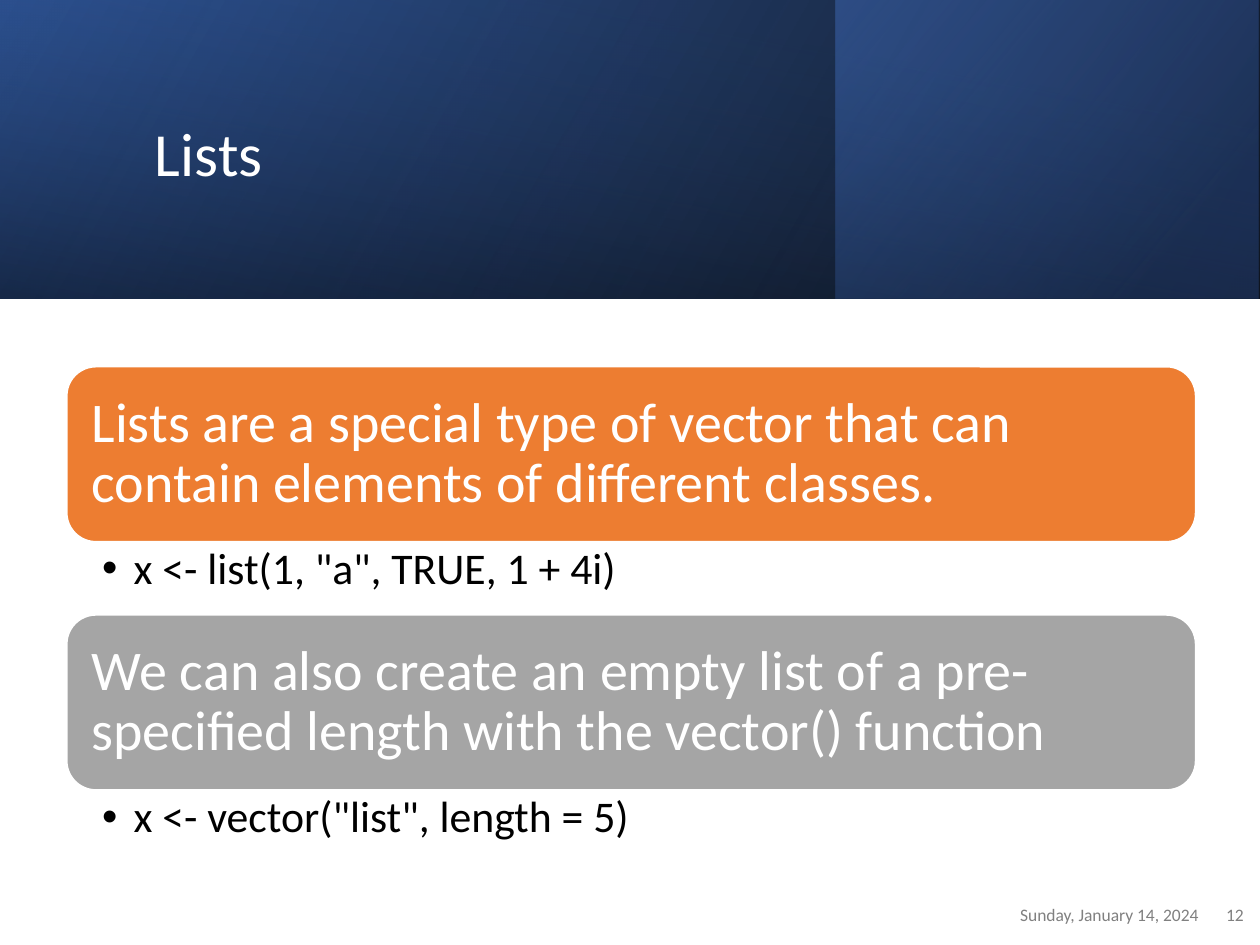
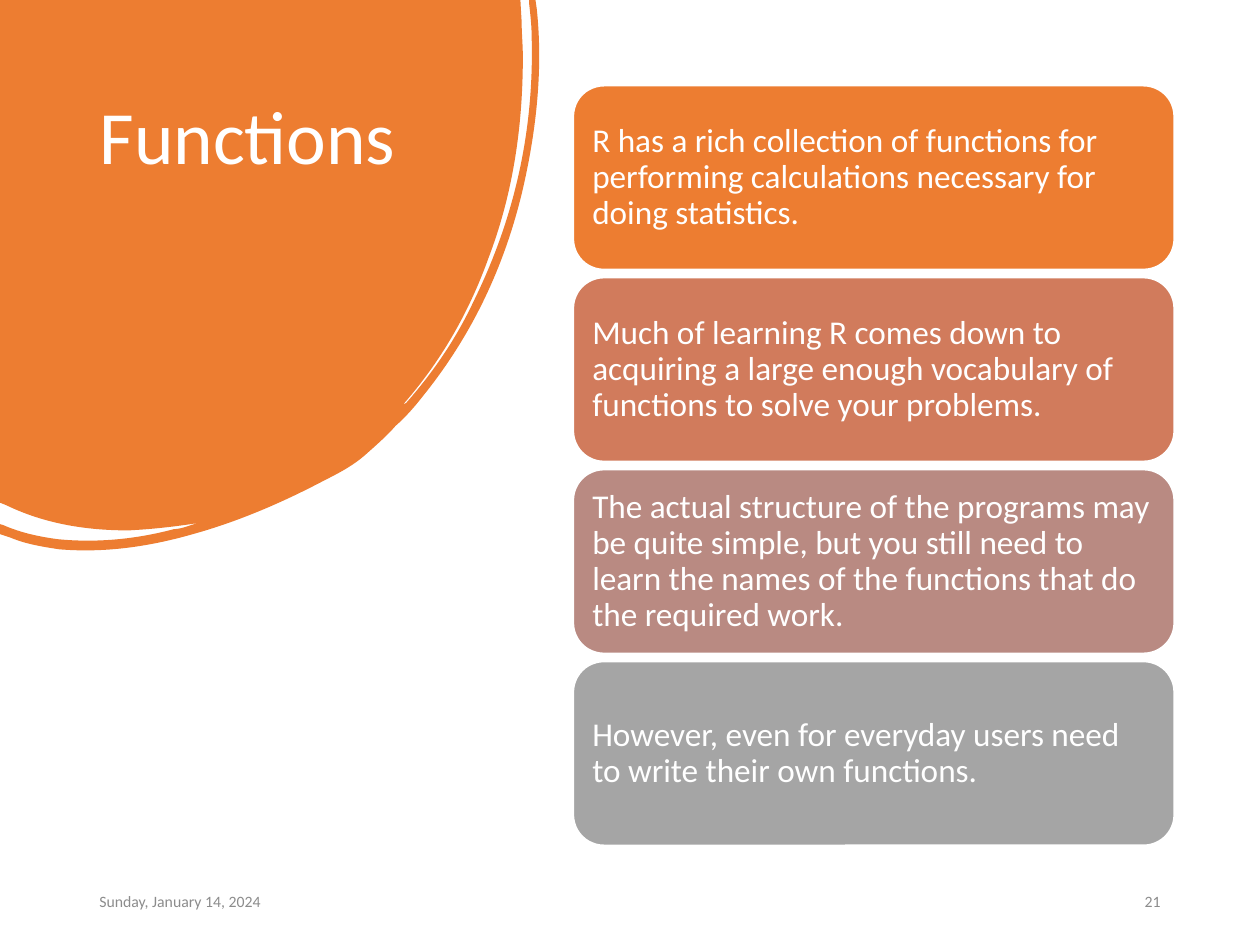
from dataclasses import dataclass

from lxml import etree
from pptx import Presentation
from pptx.dml.color import RGBColor
from pptx.enum.shapes import MSO_SHAPE
from pptx.enum.text import MSO_ANCHOR, MSO_AUTO_SIZE, PP_ALIGN
from pptx.oxml.ns import nsdecls
from pptx.util import Inches, Pt

RECT, ROUNDED = MSO_SHAPE.RECTANGLE, MSO_SHAPE.ROUNDED_RECTANGLE
LEFT, RIGHT = PP_ALIGN.LEFT, PP_ALIGN.RIGHT
TOP, MIDDLE = MSO_ANCHOR.TOP, MSO_ANCHOR.MIDDLE
NO_AUTOFIT = MSO_AUTO_SIZE.NONE
TWO_CONTENT, TITLE_ONLY = 3, 5
WIDTH, HEIGHT = 10, 7.5


@dataclass(frozen=True)
class Theme:
    font: str = "Calibri"
    white: str = "FFFFFF"
    black: str = "000000"
    orange: str = "ED7D31"
    terracotta: str = "D17B5C"
    rose: str = "B98A82"
    gray: str = "A5A5A5"
    blue: str = "4472C4"
    deep_blue: str = "2F5597"
    navy: str = "203864"
    statement_size: int = 32
    code_size: int = 25
    point_size: int = 19
    line_spacing: float = 0.9


THEME = Theme()
DATE = "Sunday, January 14, 2024"

LISTS = {
    "title": "Lists",
    "title_box": (1.13, 0.38, 7.97, 1.72),
    "title_format": {"size": 35, "anchor": MIDDLE},
    "footer_format": {"size": 10, "color": "808080"},
    "footers": [
        (DATE, (7.36, 7.06, 2.25, 0.4), RIGHT),
        ("12", (9.6, 7.06, 0.37, 0.4), RIGHT),
    ],
    "topics": [
        ("Lists are a special type of vector that can contain elements of "
         "different classes.", 'x <- list(1, "a", TRUE, 1 + 4i)', THEME.orange),
        ("We can also create an empty list of a pre-specified length with the "
         "vector() function", 'x <- vector("list", length = 5)', THEME.gray),
    ],
}

FUNCTIONS = {
    "title": "Functions",
    "title_box": (0.69, 0.74, 2.64, 2.22),
    "title_format": {"size": 43, "anchor": TOP},
    "footer_format": {"size": 9, "color": "8C8C8C"},
    "footers": [
        (DATE, (0.69, 6.95, 2.25, 0.4), LEFT),
        ("21", (7.06, 6.95, 2.25, 0.4), RIGHT),
    ],
    "points": [
        ("R has a rich collection of functions for performing calculations "
         "necessary for doing statistics.", THEME.orange),
        ("Much of learning R comes down to acquiring a large enough vocabulary "
         "of functions to solve your problems.", THEME.terracotta),
        ("The actual structure of the programs may be quite simple, but you "
         "still need to learn the names of the functions that do the required "
         "work.", THEME.rose),
        ("However, even for everyday users need to write their own functions.",
         THEME.gray),
    ],
}

# Gradient stops are (position %, colour, opacity %); angles run clockwise.
BAND_HEIGHT = 2.37
BAND_MID = (WIDTH - BAND_HEIGHT) / 2
BAND_LAYERS = [
    ((0, 0, WIDTH, BAND_HEIGHT), 0, 330,
     [(0, THEME.black, 96), (100, THEME.deep_blue, 100)]),
    ((6.63, 0, 3.36, BAND_HEIGHT), 0, 320,
     [(19, THEME.navy, 68), (100, THEME.blue, 48)]),
    ((BAND_MID, -BAND_MID, BAND_HEIGHT, WIDTH), 270, 350,
     [(23, THEME.deep_blue, 16), (99, THEME.black, 45)]),
]

# A pair is a straight step, six numbers are a Bezier curve.
BLOB_SIZE = (4.28, 4.37)
BLOB_OUTLINE = [
    (0, 0), (4.13, 0), (4.14, 0.17),
    (4.14, 0.26, 4.15, 0.36, 4.15, 0.45), (4.15, 1.01, 4.07, 1.54, 3.88, 2.04),
    (3.72, 2.49, 3.49, 2.88, 3.2, 3.21), (3.22, 3.21, 3.23, 3.19, 3.24, 3.18),
    (3.44, 2.95, 3.62, 2.69, 3.76, 2.39), (4.07, 1.76, 4.24, 1.07, 4.22, 0.3),
    (4.22, 0.21, 4.21, 0.12, 4.2, 0.03), (4.2, 0), (4.25, 0), (4.26, 0.07),
    (4.31, 0.54, 4.26, 1.02, 4.15, 1.5), (4, 2.14, 3.73, 2.68, 3.36, 3.14),
    (3.29, 3.23, 3.22, 3.31, 3.14, 3.38), (3.07, 3.46, 2.99, 3.53, 2.9, 3.61),
    (2.81, 3.69, 2.7, 3.75, 2.58, 3.81), (2.24, 3.99, 1.89, 4.14, 1.53, 4.24),
    (1.18, 4.34, 0.83, 4.39, 0.47, 4.36), (0.34, 4.34, 0.21, 4.32, 0.09, 4.27),
    (0, 4.24), (0, 4.16), (0.03, 4.17),
    (0.17, 4.23, 0.31, 4.26, 0.46, 4.28), (0.77, 4.31, 1.08, 4.28, 1.38, 4.2),
    (1.41, 4.2, 1.45, 4.19, 1.48, 4.18), (1.51, 4.17, 1.54, 4.16, 1.58, 4.15),
    (1.39, 4.18, 1.21, 4.2, 1.02, 4.21), (0.69, 4.21, 0.36, 4.16, 0.05, 4.01),
    (0, 3.99),
]


def inches(lengths):
    return [Inches(length) for length in lengths]


def place(shape, box):
    for side, length in zip(("left", "top", "width", "height"), inches(box)):
        setattr(shape, side, length)


def write(shape, text, size, color=THEME.white, anchor=MIDDLE, align=LEFT,
          spacing=THEME.line_spacing, insets=(0.1, 0.05, 0.1, 0.05)):
    """Fill a shape with one paragraph; insets are left, top, right, bottom."""
    frame = shape.text_frame
    frame.text = text
    paragraph = frame.paragraphs[0]
    margins = dict(zip(("margin_left", "margin_top", "margin_right",
                        "margin_bottom"), inches(insets)))
    formats = [
        (frame, {"word_wrap": True, "auto_size": NO_AUTOFIT,
                 "vertical_anchor": anchor, **margins}),
        (paragraph, {"alignment": align, "line_spacing": spacing,
                     "space_before": Pt(0)}),
        (paragraph.runs[0].font, {"name": THEME.font, "size": Pt(size)}),
    ]
    for target, values in formats:
        for attribute, value in values.items():
            setattr(target, attribute, value)
    paragraph.runs[0].font.color.rgb = RGBColor.from_string(color)


def paint(shape, color):
    shape.shadow.inherit = False
    shape.fill.solid()
    shape.fill.fore_color.rgb = RGBColor.from_string(color)
    shape.line.fill.background()


def add_card(slide, box, text, color, size, inset):
    card = slide.shapes.add_shape(ROUNDED, *inches(box))
    paint(card, color)
    card.line.color.rgb = RGBColor.from_string(THEME.white)
    card.line.width = Pt(1)
    write(card, text, size, insets=(inset,) * 4)


def add_band(slide):
    for box, rotation, angle, stops in BAND_LAYERS:
        layer = slide.shapes.add_shape(RECT, *inches(box))
        paint(layer, THEME.white)
        layer.rotation = rotation
        properties = layer._element.spPr
        properties.xfrm.set("flipH", "1")
        stops_xml = "".join(
            f'<a:gs pos="{position * 1000}"><a:srgbClr val="{color}">'
            f'<a:alpha val="{opacity * 1000}"/></a:srgbClr></a:gs>'
            for position, color, opacity in stops)
        gradient = etree.fromstring(
            f'<a:gradFill {nsdecls("a")} rotWithShape="1"><a:gsLst>{stops_xml}'
            f'</a:gsLst><a:lin ang="{angle * 60000}" scaled="0"/></a:gradFill>')
        properties.replace(properties.find("{*}solidFill"), gradient)


def add_blob(slide):
    """Draw the outline through its end points, then bend the curved steps."""
    start, *ends = [inches(step[-2:]) for step in BLOB_OUTLINE]
    builder = slide.shapes.build_freeform(*start)
    builder.add_line_segments(ends, close=True)
    blob = builder.convert_to_shape()
    paint(blob, THEME.orange)
    place(blob, (0, 0, *BLOB_SIZE))
    outline = blob._element.spPr.find(".//{*}pathLst")[0]
    for side, length in zip("wh", inches(BLOB_SIZE)):
        outline.set(side, str(length))
    segments = outline.findall("{*}lnTo")
    for segment, step in zip(segments, BLOB_OUTLINE[1:]):
        if len(step) == 6:
            x1, y1, x2, y2, x3, y3 = inches(step)
            outline.replace(segment, etree.fromstring(
                f'<a:cubicBezTo {nsdecls("a")}><a:pt x="{x1}" y="{y1}"/>'
                f'<a:pt x="{x2}" y="{y2}"/><a:pt x="{x3}" y="{y3}"/>'
                f'</a:cubicBezTo>'))


def add_slide(deck, layout, content, add_backdrop):
    """Add a slide with its backdrop, title and footers."""
    slide = deck.slides.add_slide(deck.slide_layouts[layout])
    add_backdrop(slide)
    title = slide.shapes.title
    slide.shapes._spTree.append(title._element)
    place(title, content["title_box"])
    write(title, content["title"], **content["title_format"])
    for text, box, align in content["footers"]:
        footer = slide.shapes.add_textbox(*inches(box))
        write(footer, text, align=align, spacing=1.0, **content["footer_format"])
    return slide


def build_lists(deck):
    left, top, width, card_height, code_height = 0.53, 2.91, 8.96, 1.39, 0.58
    slide = add_slide(deck, TWO_CONTENT, LISTS, add_band)
    for row, (statement, code, color) in enumerate(LISTS["topics"]):
        y = top + row * (card_height + code_height)
        add_card(slide, (left, y, width, card_height), statement, color,
                 THEME.statement_size, 0.13)
        example = slide.placeholders[row + 1]
        place(example, (left, y + card_height, width, code_height))
        write(example, code, THEME.code_size, THEME.black, TOP,
              insets=(0.28, 0.04, 0.25, 0.04))
        bullet = example.text_frame.paragraphs[0]._p.get_or_add_pPr()
        for attribute, indent in (("marL", 0.25), ("indent", -0.25)):
            bullet.set(attribute, str(Inches(indent)))


def build_functions(deck):
    left, top, width, height, last_top = 4.55, 0.68, 4.77, 1.46, 5.25
    slide = add_slide(deck, TITLE_ONLY, FUNCTIONS, add_blob)
    points = FUNCTIONS["points"]
    pitch = (last_top - top) / (len(points) - 1)
    for row, (point, color) in enumerate(points):
        box = (left, top + row * pitch, width, height)
        add_card(slide, box, point, color, THEME.point_size, 0.08)


def main():
    deck = Presentation()
    deck.slide_width, deck.slide_height = Inches(WIDTH), Inches(HEIGHT)
    build_lists(deck)
    build_functions(deck)
    deck.save("out.pptx")


if __name__ == "__main__":
    main()
